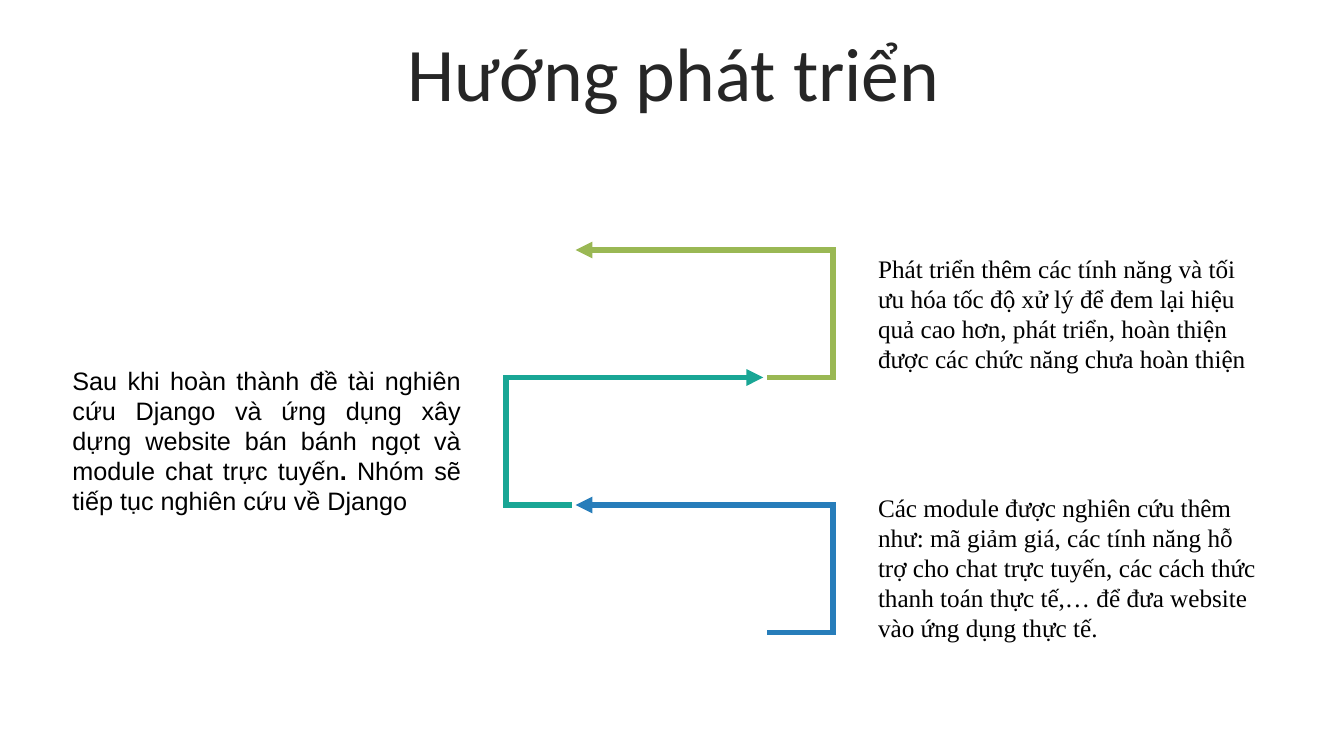
from dataclasses import dataclass

from lxml import etree
from pptx import Presentation
from pptx import slide as sl, util as u
from pptx.dml import color
from pptx.enum import text
from pptx.oxml import ns
from pptx.text import text as tx


@dataclass(frozen=True)
class Theme:
    title: str = "262626"
    ink: str = "000000"
    green: str = "9AB854"
    teal: str = "19A695"
    blue: str = "277DBA"
    head: str = "Calibri"
    serif: str = "Times New Roman"
    sans: str = "Arial"
    big: int = 54
    body: int = 18
    line: int = 4


@dataclass(frozen=True)
class Note:
    left: float
    top: float
    width: float
    height: float
    font: str
    align: text.PP_ALIGN
    words: tuple[str, ...]
    bold: int = -1


@dataclass(frozen=True)
class Hook:
    tip: float
    way: int
    tint: str


THEME = Theme()
TOP, STEP, REACH, BACK = 2.48, 1.265, 2.55, 0.65

NOTES = (
    Note(8.61, 2.46, 3.99, 1.31, THEME.serif, text.PP_ALIGN.LEFT, (
        "Phát triển thêm các tính năng và tối ưu hóa tốc độ xử lý để đem lại hiệu quả "
        "cao hơn, phát triển, hoàn thiện được các chức năng chưa hoàn thiện",)),
    Note(8.61, 4.83, 3.99, 1.62, THEME.serif, text.PP_ALIGN.LEFT, (
        "Các module được nghiên cứu thêm như: mã giảm giá, các tính năng hỗ trợ cho "
        "chat trực tuyến, các cách thức thanh toán thực tế,… để đưa website vào ứng "
        "dụng thực tế.",)),
    Note(0.62, 3.57, 4.05, 1.62, THEME.sans, text.PP_ALIGN.JUSTIFY, (
        "Sau khi hoàn thành đề tài nghiên cứu Django và ứng dụng xây dựng website bán "
        "bánh ngọt và module chat trực tuyến",
        ". ",
        "Nhóm sẽ tiếp tục nghiên cứu về Django"), 1),
)

HOOKS = (
    Hook(5.71, 1, THEME.green),
    Hook(7.57, -1, THEME.teal),
    Hook(5.71, 1, THEME.blue),
)


def style(run: tx._Run, font: str, size: int, tint: str, bold: bool = False) -> None:
    run.font.name = font
    run.font.size = u.Pt(size)
    run.font.bold = bold
    run.font.color.rgb = color.RGBColor.from_string(tint)


def add_title(page: sl.Slide, words: str) -> None:
    title = page.shapes.title
    title.left, title.top = u.Inches(0.35), u.Inches(0.37)
    title.width, title.height = u.Inches(12.66), u.Inches(0.79)
    frame = title.text_frame
    frame.text = words
    frame.auto_size = text.MSO_AUTO_SIZE.NONE
    frame.vertical_anchor = text.MSO_ANCHOR.MIDDLE
    para = frame.paragraphs[0]
    para.alignment = text.PP_ALIGN.CENTER
    para.line_spacing = 0.9
    para.space_before = u.Pt(10)
    style(para.runs[0], THEME.head, THEME.big, THEME.title)


def add_note(page: sl.Slide, note: Note) -> None:
    box = page.shapes.add_textbox(
        u.Inches(note.left), u.Inches(note.top),
        u.Inches(note.width), u.Inches(note.height))
    frame = box.text_frame
    frame.word_wrap = True
    frame.auto_size = text.MSO_AUTO_SIZE.SHAPE_TO_FIT_TEXT
    para = frame.paragraphs[0]
    para.alignment = note.align
    for i, words in enumerate(note.words):
        run = para.add_run()
        run.text = words
        style(run, note.font, THEME.body, THEME.ink, i == note.bold)


def add_hook(page: sl.Slide, hook: Hook, top: float) -> None:
    far = hook.tip + hook.way * REACH
    tail = far - hook.way * BACK
    low = top + STEP
    points = [(u.Inches(x), u.Inches(y))
              for x, y in ((far, top), (far, low), (tail, low))]
    pen = page.shapes.build_freeform(u.Inches(hook.tip), u.Inches(top))
    pen.add_line_segments(points, close=False)
    shape = pen.convert_to_shape()
    shape.shadow.inherit = False
    shape.fill.background()
    shape.line.width = u.Pt(THEME.line)
    shape.line.color.rgb = color.RGBColor.from_string(hook.tint)
    line = shape.line._get_or_add_ln()
    etree.SubElement(line, ns.qn("a:miter"), lim="800000")
    etree.SubElement(line, ns.qn("a:headEnd"), type="triangle")


def main() -> None:
    deck = Presentation()
    deck.slide_width, deck.slide_height = u.Inches(13.33), u.Inches(7.5)
    page = deck.slides.add_slide(deck.slide_layouts[5])
    add_title(page, "Hướng phát triển")
    for note in NOTES:
        add_note(page, note)
    for i, hook in enumerate(HOOKS):
        add_hook(page, hook, TOP + i * STEP)
    deck.save("out.pptx")


if __name__ == "__main__":
    main()
